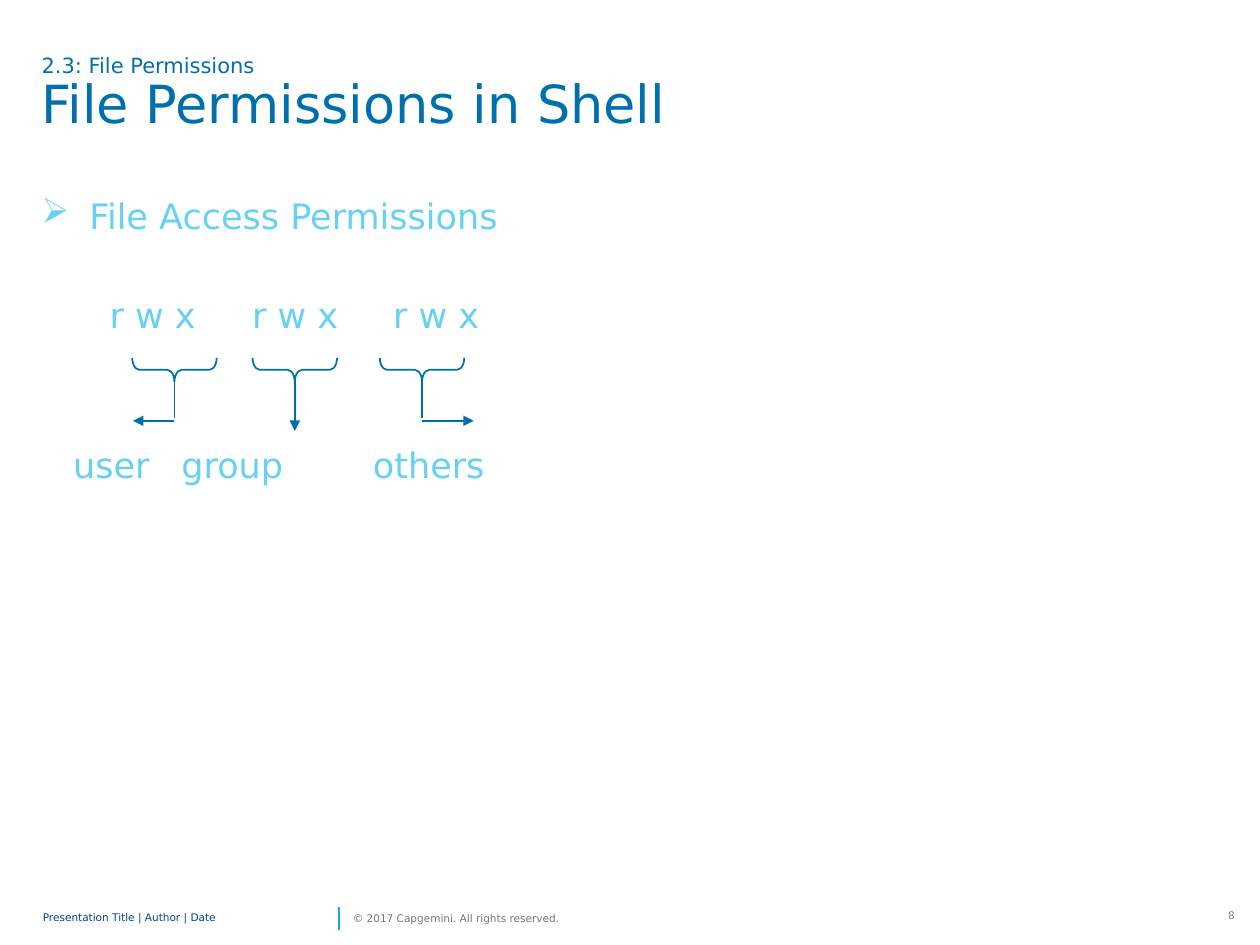
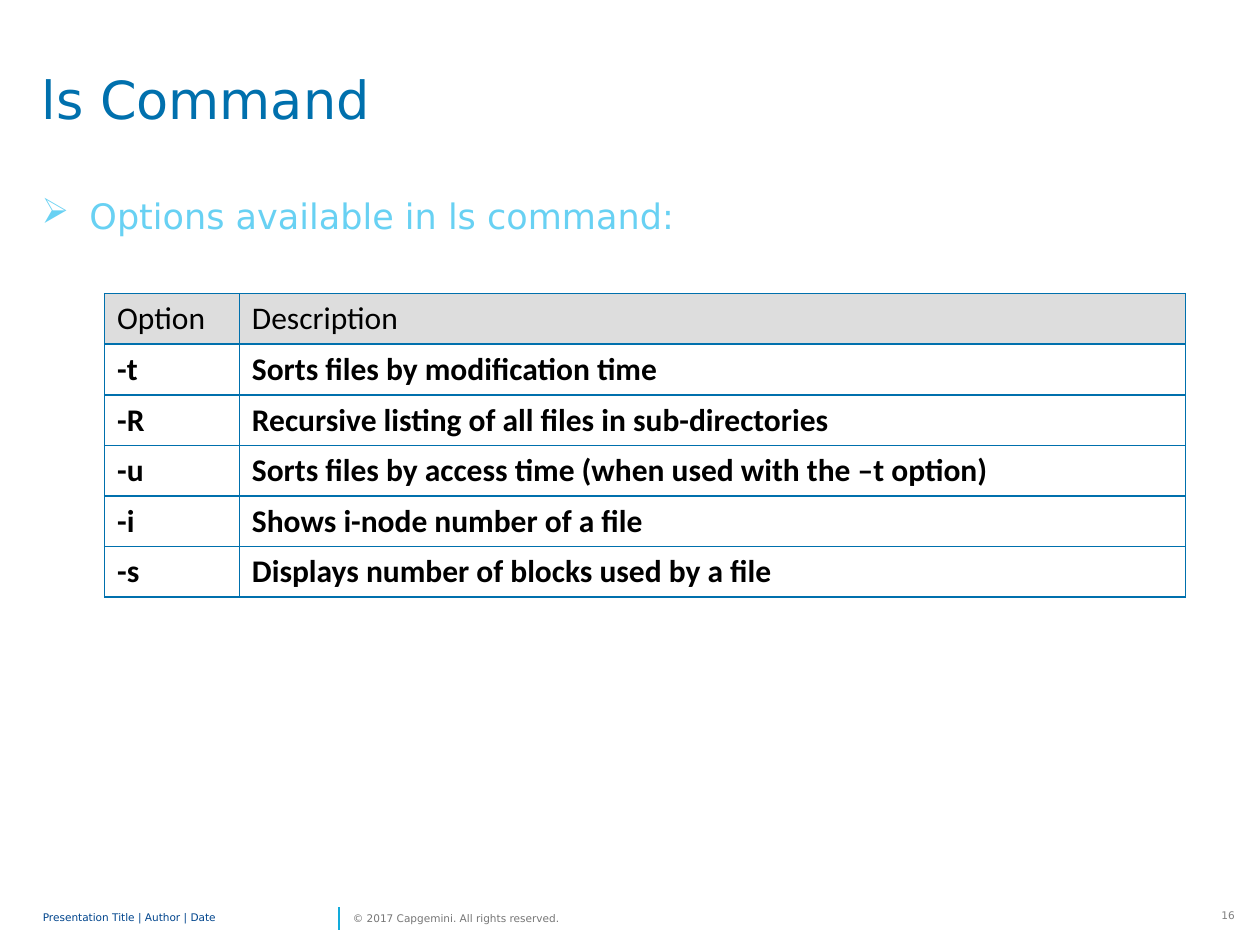
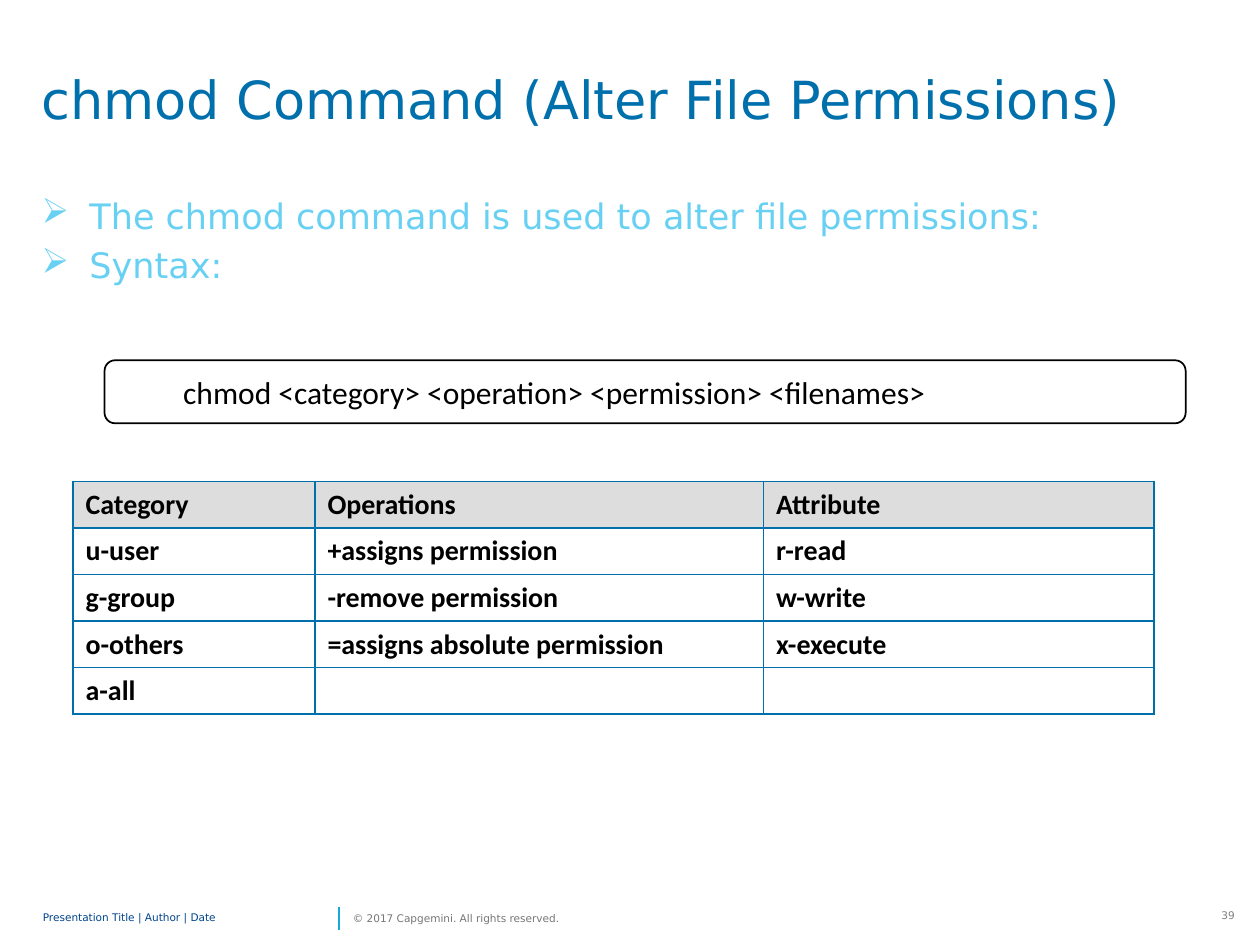
from collections import namedtuple

from lxml import etree
from pptx import Presentation
from pptx import util as u
from pptx.dml.color import RGBColor
from pptx.enum import shapes, text
from pptx.oxml import parse_xml
from pptx.oxml.ns import nsdecls, qn

# Palette and fonts
BLUE = RGBColor(0x00, 0x70, 0xAD)
SKY = RGBColor(0x68, 0xD1, 0xF3)
CYAN = RGBColor(0x12, 0xAB, 0xDB)
NAVY = RGBColor(0x00, 0x45, 0x8D)
GREY = RGBColor(0x76, 0x76, 0x76)
PAGE_GREY = RGBColor(0x80, 0x80, 0x80)
HEADER = RGBColor(0xDD, 0xDD, 0xDD)
BLACK = RGBColor(0x00, 0x00, 0x00)
WHITE = RGBColor(0xFF, 0xFF, 0xFF)
SANS, CALIBRI = "DejaVu Sans", "Calibri"

# Grid of 100 columns by 75 rows; boxes are given in columns and rows
W, H = u.Inches(10), u.Inches(7.5)
COL, ROW = W / 100, H / 75
Box = namedtuple("Box", "x y w h")
TITLE = Box(3.3, 4.4, 89.8, 9.5)
BODY = Box(3.3, 15.4, 89.8, 56.3)
FOOTER = Box(3.4, 71.7, 95.3, 2.4)


def emu(x, y):
    return round(x * COL), round(y * ROW)


def place(box):
    return (*emu(box.x, box.y), *emu(box.w, box.h))


def style(obj, **values):
    for name, value in values.items():
        setattr(obj, name, value)


def write(p, words, size, color, face=SANS, bold=False):
    r = p.add_run()
    r.text = words
    style(r.font, size=u.Pt(size), name=face, bold=bold)
    r.font.color.rgb = color


def textbox(s, box, **frame):
    tf = s.shapes.add_textbox(*place(box)).text_frame
    values = dict(word_wrap=True, margin_left=0, margin_right=0, margin_top=0, margin_bottom=0)
    style(tf, **{**values, **frame})
    return tf


def next_paragraph(tf):
    first = tf.paragraphs[0]
    return tf.add_paragraph() if first.runs else first


def line(s, x1, y1, x2, y2, color=BLUE, arrow=False):
    sp = s.shapes.add_connector(shapes.MSO_CONNECTOR.STRAIGHT, *emu(x1, y1), *emu(x2, y2))
    sp.line.color.rgb, sp.line.width = color, u.Pt(1)
    if arrow:
        etree.SubElement(sp.line._get_or_add_ln(), qn("a:tailEnd"), type="triangle")
    etree.SubElement(sp._element.spPr, qn("a:effectLst"))


# Shared regions
def title(s, box, heading, kicker=None):
    if not kicker:
        box = box._replace(y=box.y + 1.5, h=box.h - 1.5)
    tf = textbox(s, box)
    for words, size in ((kicker, 12), (heading, 30)):
        if words:
            p = next_paragraph(tf)
            p.line_spacing = 0.9
            write(p, words, size, BLUE)


def footer(s, box, page):
    x, y, w, h = box
    middle = text.MSO_ANCHOR.MIDDLE
    p = textbox(s, Box(x, y, 23.2, h), vertical_anchor=middle).paragraphs[0]
    p.line_spacing = 0.85
    write(p, "Presentation Title | Author | Date", 6, NAVY)
    line(s, x + 23.5, y + 2.1, x + 23.5, y + 0.3, CYAN)
    p = textbox(s, Box(x + 24.6, y, 18.2, h), vertical_anchor=middle).paragraphs[0]
    write(p, "© 2017 Capgemini. All rights reserved.", 6, GREY)
    p = textbox(s, Box(x + w - 3, y, 3, 1.8), margin_top=u.Inches(0.04),
                margin_right=u.Inches(0.07)).paragraphs[0]
    p.alignment = text.PP_ALIGN.RIGHT
    write(p, str(page), 6, PAGE_GREY)


def bullets(s, box, items):
    tf = textbox(s, box)
    for item in items:
        p = next_paragraph(tf)
        pPr = p._p.get_or_add_pPr()
        indent = round(3.8 * COL)
        pPr.set("marL", str(indent))
        pPr.set("indent", str(-indent))
        etree.SubElement(pPr, qn("a:buChar"), char="➢")
        p.space_after = u.Pt(4.5)
        write(p, item, 20, SKY)
    return tf


def tabbed_row(tf, labels, stops, before):
    p = tf.add_paragraph()
    tabs = etree.SubElement(p._p.get_or_add_pPr(), qn("a:tabLst"))
    for stop in stops:
        etree.SubElement(tabs, qn("a:tab"), pos=str(round(stop * COL)), algn="l")
    style(p, space_before=u.Pt(before), space_after=u.Pt(4.5))
    write(p, "".join("\t" + label for label in labels), 20, SKY)


def brace_arrow(s, box, turn):
    """Brace over the box's top, stem down its middle, arrow `turn` columns aside."""
    mid, bottom = box.x + box.w / 2, box.y + box.h
    depth = 1.9
    frame = Box(mid - depth / 2, box.y + depth / 2 - box.w / 2, depth, box.w)
    sp = s.shapes.add_shape(shapes.MSO_SHAPE.LEFT_BRACE, *place(frame))
    style(sp, rotation=270)
    sp.adjustments[0] = 0.3
    sp.shadow.inherit = False
    sp.fill.background()
    sp.line.color.rgb, sp.line.width = BLUE, u.Pt(1)
    line(s, mid, box.y + 1.7, mid, bottom, arrow=not turn)
    if turn:
        line(s, mid, bottom + 0.2, mid + turn, bottom + 0.2, arrow=True)


def syntax_box(s, box, command):
    sp = s.shapes.add_shape(shapes.MSO_SHAPE.ROUNDED_RECTANGLE, *place(box))
    sp.shadow.inherit = False
    sp.fill.solid()
    sp.fill.fore_color.rgb = WHITE
    sp.line.color.rgb, sp.line.width = BLACK, u.Pt(1)
    tf = sp.text_frame
    style(tf, margin_left=round(6 * COL), vertical_anchor=text.MSO_ANCHOR.MIDDLE)
    tf.paragraphs[0].alignment = text.PP_ALIGN.LEFT
    write(tf.paragraphs[0], command, 18, BLACK, CALIBRI)


def border(cell):
    tcPr = cell._tc.get_or_add_tcPr()
    for i, side in enumerate(("lnL", "lnR", "lnT", "lnB")):
        tcPr.insert(i, parse_xml(
            f'<a:{side} {nsdecls("a")} w="12700"><a:solidFill>'
            f'<a:srgbClr val="{BLUE}"/></a:solidFill></a:{side}>'))


def grid_table(s, box, widths, rows, size, bold_header):
    table = s.shapes.add_table(len(rows), len(widths), *place(box)).table
    for column, width in zip(table.columns, widths):
        column.width = round(width * COL)
    for i, row in enumerate(rows):
        table.rows[i].height = round(box.h * ROW / len(rows))
        for j, words in enumerate(row):
            cell = table.cell(i, j)
            cell.fill.solid()
            cell.fill.fore_color.rgb = WHITE if i else HEADER
            border(cell)
            p = cell.text_frame.paragraphs[0]
            if words:
                write(p, words, size, BLACK, CALIBRI, bold=bool(i) or bold_header)
            else:
                etree.SubElement(p._p, qn("a:endParaRPr"), sz=str(size * 100))


# Slides
def base_slide(prs, page, heading, items, kicker=None):
    s = prs.slides.add_slide(prs.slide_layouts[6])
    footer(s, FOOTER, page)
    tf = bullets(s, BODY, items)
    title(s, TITLE, heading, kicker)
    return s, tf


def permissions_slide(prs):
    s, tf = base_slide(prs, 8, "File Permissions in Shell", ["File Access Permissions"],
                       "2.3: File Permissions")
    tabbed_row(tf, ["r w x"] * 3, (5.4, 16.7, 27.9), 28.5)
    tabbed_row(tf, ("user", "group", "others"), (2.5, 11.1, 26.3), 57)
    for x, h, turn in ((10.5, 4.8, -3.3), (20.05, 5.8, 0), (30.15, 4.8, 4.1)):
        brace_arrow(s, Box(x, 28.4, 6.7, h), turn)


def ls_slide(prs):
    s, _ = base_slide(prs, 16, "ls Command", ["Options available in ls command:"])
    grid_table(s, Box(8.3, 23.3, 85.8, 24.1), (10.7, 75.1), [
        ("Option", "Description"),
        ("-t", "Sorts files by modification time"),
        ("-R", "Recursive listing of all files in sub-directories"),
        ("-u", "Sorts files by access time (when used with the –t option)"),
        ("-i", "Shows i-node number of a file"),
        ("-s", "Displays number of blocks used by a file"),
    ], 18, bold_header=False)


def chmod_slide(prs):
    s, _ = base_slide(prs, 39, "chmod Command (Alter File Permissions)",
                      ["The chmod command is used to alter file permissions:", "Syntax:"])
    syntax_box(s, Box(8.3, 28.6, 85.8, 5),
               "chmod <category> <operation> <permission> <filenames>")
    grid_table(s, Box(5.8, 38.2, 85.8, 18.5), (19.2, 35.6, 31), [
        ("Category", "Operations", "Attribute"),
        ("u-user", "+assigns permission", "r-read"),
        ("g-group", "-remove permission", "w-write"),
        ("o-others", "=assigns absolute permission", "x-execute"),
        ("a-all", "", ""),
    ], 16, bold_header=True)


def main():
    prs = Presentation()
    style(prs, slide_width=W, slide_height=H)
    for build in (permissions_slide, ls_slide, chmod_slide):
        build(prs)
    prs.save("out.pptx")


if __name__ == "__main__":
    main()
